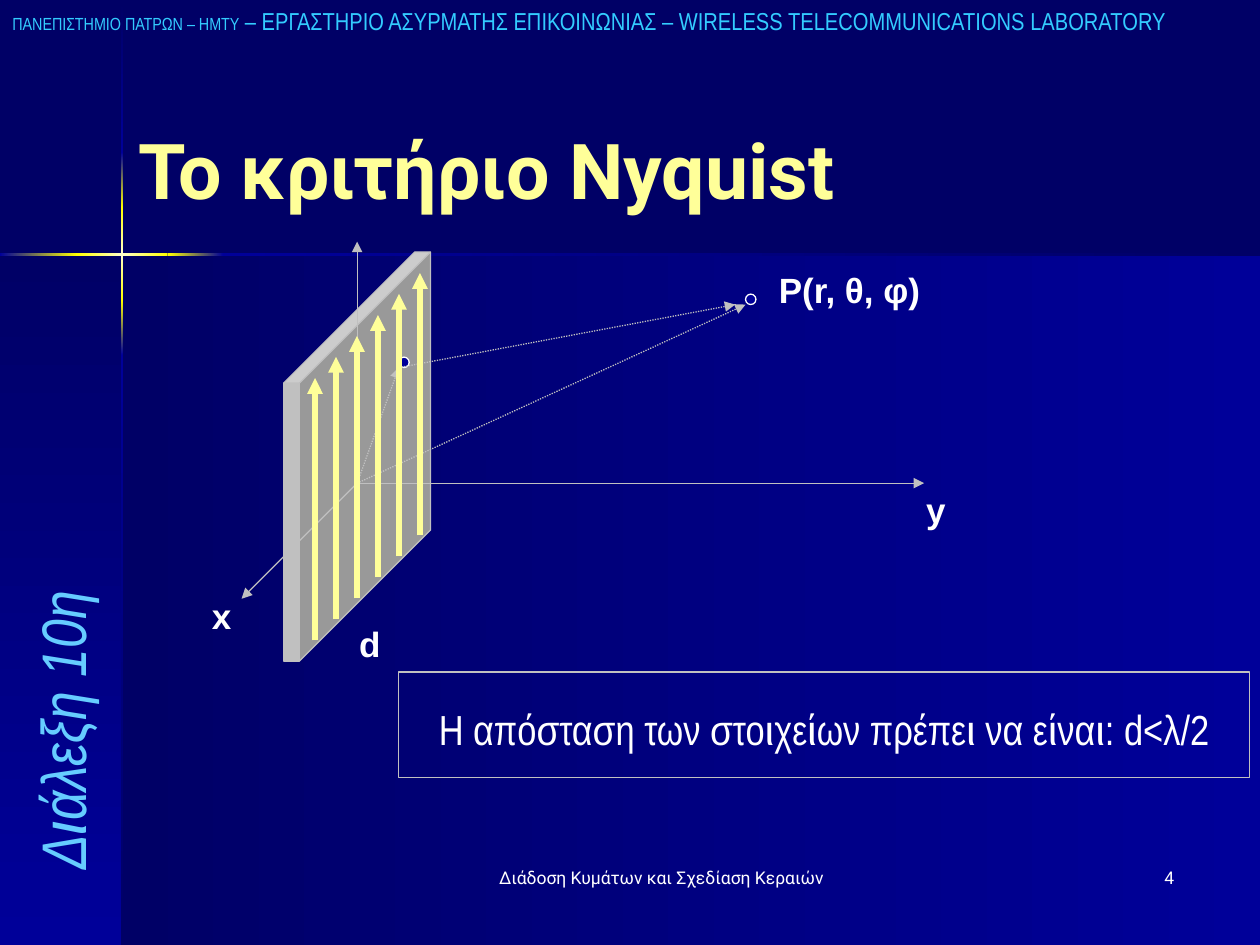
from dataclasses import dataclass

from lxml.etree import SubElement
from pptx import Presentation
from pptx.dml.color import RGBColor
from pptx.enum.dml import MSO_LINE
from pptx.enum.shapes import MSO_CONNECTOR, MSO_SHAPE
from pptx.enum.text import MSO_ANCHOR, PP_ALIGN
from pptx.oxml.ns import qn
from pptx.util import Cm, Pt


@dataclass(frozen=True)
class Theme:
    # Colours
    night: str = "000066"
    blue: str = "000099"
    gold: str = "FFFF00"
    pale_gold: str = "FFFFCC"
    cream: str = "FFFF99"
    silver: str = "C0C0C0"
    white: str = "FFFFFF"
    sky: str = "66CCFF"
    cyan: str = "33CCFF"
    # Type
    heading_font: str = "Roboto"
    narrow_font: str = "Arial Narrow"
    label_font: str = "Arial"
    title_size: int = 44
    lecture_size: int = 36
    formula_size: int = 24
    label_size: int = 20
    header_size: int = 14
    small_size: int = 10
    # Lines
    thin: float = 0.75
    thick: float = 3


class SlideBuilder:
    def __init__(self, slide, theme):
        self.slide = slide
        self.theme = theme
        slide.background.fill.solid()
        slide.background.fill.fore_color.rgb = RGBColor.from_string(theme.night)

    def shape(self, preset, box, fill=None, line=None):
        shape = self.slide.shapes.add_shape(preset, *map(Cm, box))
        shape.shadow.inherit = False
        if fill:
            shape.fill.solid()
            shape.fill.fore_color.rgb = RGBColor.from_string(fill)
        else:
            shape.fill.background()
        if line:
            shape.line.color.rgb = RGBColor.from_string(line)
            shape.line.width = Pt(self.theme.thin)
        else:
            shape.line.fill.background()
        return shape

    def gradient(self, box, colors, vertical=False):
        panel = self.shape(MSO_SHAPE.RECTANGLE, box)
        panel.fill.gradient()
        # OOXML angles run clockwise, python-pptx angles the other way
        panel.fill.gradient_angle = 270 if vertical else 0
        stops = panel.element.spPr.find(qn("a:gradFill")).find(qn("a:gsLst"))
        for stop in list(stops):
            stops.remove(stop)
        for index, color in enumerate(colors):
            position = 100000 * index // (len(colors) - 1)
            stop = SubElement(stops, qn("a:gs"), pos=str(position))
            SubElement(stop, qn("a:srgbClr"), val=color)

    def arrow(self, start, end, color, width, dash=None):
        arrow = self.slide.shapes.add_connector(
            MSO_CONNECTOR.STRAIGHT, *map(Cm, (*start, *end)))
        arrow.line.color.rgb = RGBColor.from_string(color)
        arrow.line.width = Pt(width)
        if dash:
            arrow.line.dash_style = dash
        properties = arrow.element.spPr
        SubElement(properties.find(qn("a:ln")), qn("a:tailEnd"), type="triangle")
        SubElement(properties, qn("a:effectLst"))

    def fill_text(self, shape, runs, color, anchor=MSO_ANCHOR.TOP, **paragraph_format):
        frame = shape.text_frame
        frame.word_wrap = True
        frame.vertical_anchor = anchor
        paragraph = frame.paragraphs[0]
        for name, value in paragraph_format.items():
            setattr(paragraph, name, value)
        for text, font_format in runs:
            run = paragraph.add_run()
            run.text = text
            for name, value in font_format.items():
                setattr(run.font, name, value)
            run.font.color.rgb = RGBColor.from_string(color)

    def text(self, box, runs, color, rotation=0, **options):
        text_box = self.slide.shapes.add_textbox(*map(Cm, box))
        text_box.rotation = rotation
        self.fill_text(text_box, runs, color, **options)


def main():
    theme = Theme()
    width, height = 25.4, 19.05
    prs = Presentation()
    prs.slide_width, prs.slide_height = Cm(width), Cm(height)
    builder = SlideBuilder(prs.slides.add_slide(prs.slide_layouts[6]), theme)

    narrow = {"name": theme.narrow_font}
    small = {"size": Pt(theme.small_size)}
    label_format = {"name": theme.label_font, "size": Pt(theme.label_size), "bold": True}
    footer_format = {"name": theme.heading_font, **small}

    # Background panels
    cross_x, cross_y = 2.46, 5.13
    shade = (theme.night, theme.blue)
    builder.gradient((cross_x, cross_y, width - cross_x, height - cross_y), shade)
    builder.gradient((0, cross_y, cross_x, height - cross_y), shade, vertical=True)

    # Glowing cross
    beam = 0.05
    glow = [
        shade,
        (theme.blue, theme.gold),
        (theme.gold, theme.pale_gold, theme.gold),
        (theme.gold, theme.blue),
        (theme.blue, theme.night),
    ]
    column_stops = [0.03, 3.07, 4.19, 6.05, 7.16, height]
    row_stops = [0, 1.55, 3.38, 4.5, width]
    for start, end, colors in zip(column_stops, column_stops[1:], glow):
        builder.gradient((cross_x - beam / 2, start, beam, end - start), colors, vertical=True)
    for start, end, colors in zip(row_stops, row_stops[1:], glow[1:]):
        builder.gradient((start, cross_y - beam / 2, end - start, beam), colors)

    # Lecture number and title
    lecture_format = {**narrow, "size": Pt(theme.lecture_size), "italic": True}
    builder.text((-3.6, 12.07, 9.74, 1.69), [("Διάλεξη 10η", lecture_format)],
                 theme.sky, rotation=270, anchor=MSO_ANCHOR.BOTTOM)
    title_format = {"name": theme.heading_font, "size": Pt(theme.title_size), "bold": True}
    builder.text((2.54, 2.16, 19.69, 2.29), [("Το κριτήριο Nyquist", title_format)],
                 theme.cream, anchor=MSO_ANCHOR.BOTTOM)

    # Aperture and axes
    aperture = builder.shape(MSO_SHAPE.CUBE, (5.72, 5.08, 2.96, 8.25),
                             theme.silver, theme.silver)
    aperture.adjustments[0] = 0.893
    origin = (7.2, 9.74)
    for axis_end in [(18.63, 9.74), (7.2, 4.87), (4.87, 12.07)]:
        builder.arrow(origin, axis_end, theme.silver, theme.thin)

    # Field point, source point and rays
    dot = 0.21
    source = (8.04, 7.41)
    for left, top in [(15.03, 5.93), (8.04, 7.2)]:
        builder.shape(MSO_SHAPE.OVAL, (left, top, dot, dot), theme.blue, theme.white)
    for start, end in [(origin, (15.03, 6.14)), (source, (14.82, 6.14)), (origin, source)]:
        builder.arrow(start, end, theme.silver, theme.thin, MSO_LINE.ROUND_DOT)

    # Array elements, stepping back along the aperture
    pitch = 2.54 / 6
    for index in range(6):
        x, foot = 6.35 + index * pitch, 12.91 - index * pitch
        builder.arrow((x, foot), (x, foot - 5.29), theme.cream, theme.thick)

    # Diagram labels
    for label, left, top, label_width in [
        ("x", 4.02, 11.43, 1.9),
        ("y", 18.42, 9.31, 1.9),
        ("P(r, θ, φ)", 15.45, 4.87, 3.81),
        ("d", 6.99, 12.01, 3.81),
    ]:
        builder.text((left, top, label_width, 1.52), [(label, label_format)],
                     theme.white, line_spacing=1.5)

    # Spacing condition
    condition = builder.shape(MSO_SHAPE.RECTANGLE, (8.04, 13.55, 17.15, 2.12),
                              line=theme.silver)
    condition_format = {**narrow, "size": Pt(theme.formula_size)}
    builder.fill_text(condition,
                      [("Η απόσταση των στοιχείων πρέπει να είναι: d<λ/2", condition_format)],
                      theme.white, alignment=PP_ALIGN.CENTER, line_spacing=1.5)

    # Header and footer
    laboratory = " – ΕΡΓΑΣΤΗΡΙΟ ΑΣΥΡΜΑΤΗΣ ΕΠΙΚΟΙΝΩΝΙΑΣ – WIRELESS TELECOMMUNICATIONS LABORATORY"
    builder.text((0, 0, width, 0.84), [
        ("ΠΑΝΕΠΙΣΤΗΜΙΟ ΠΑΤΡΩΝ – ΗΜΤΥ", {**narrow, **small}),
        (laboratory, {**narrow, "size": Pt(theme.header_size)}),
    ], theme.cyan)
    for footer, left, footer_width, alignment in [
        ("Διάδοση Κυμάτων και Σχεδίαση Κεραιών", 9.31, 8.04, PP_ALIGN.CENTER),
        ("4", 18.63, 5.29, PP_ALIGN.RIGHT),
    ]:
        builder.text((left, 17.36, footer_width, 1.27), [(footer, footer_format)],
                     theme.white, alignment=alignment)

    prs.save("out.pptx")


if __name__ == "__main__":
    main()
